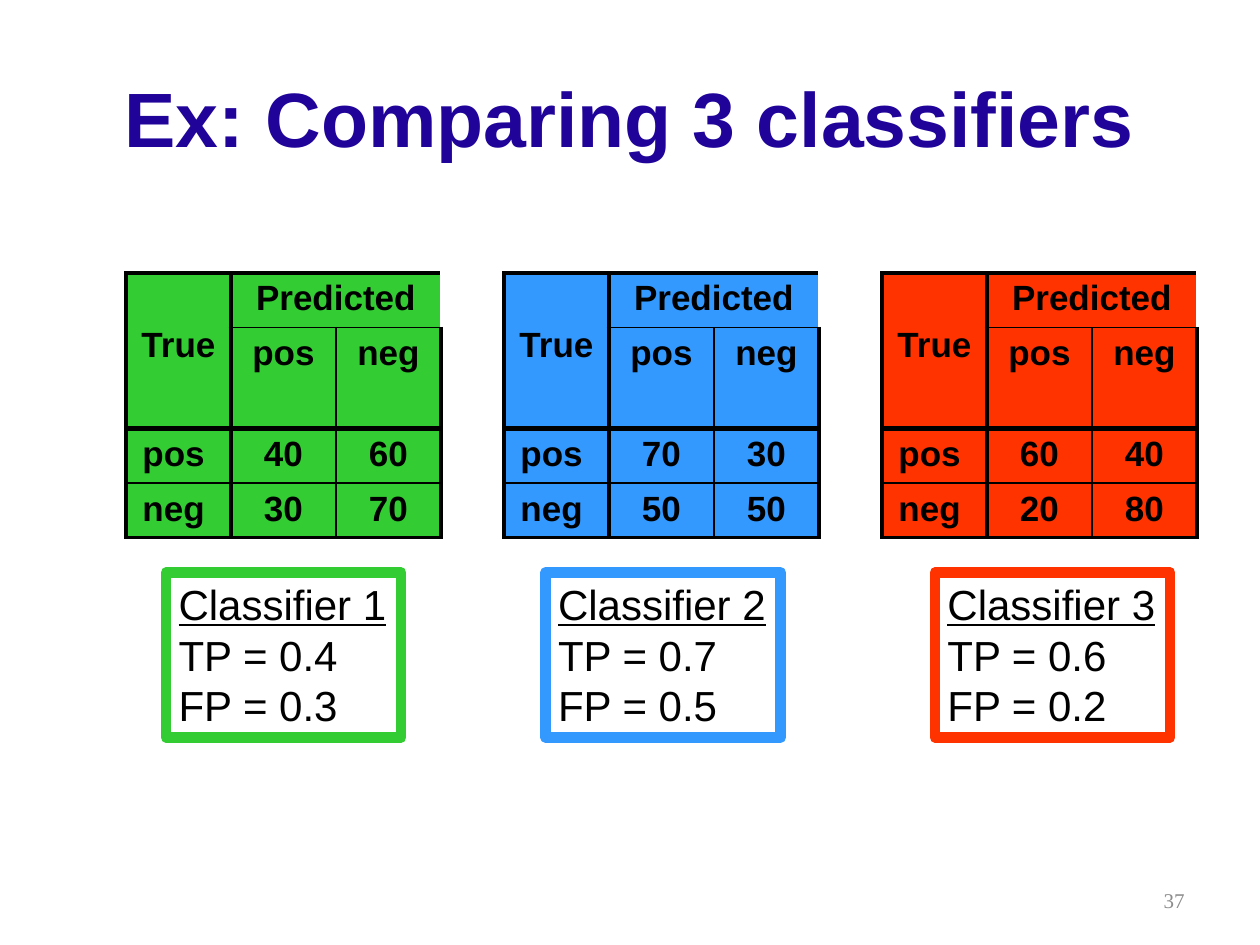
import pptx
import pptx.util
import pptx.dml.color
import pptx.enum.shapes
import pptx.enum.text
import pptx.oxml

Cm, Pt = pptx.util.Cm, pptx.util.Pt
RGB = pptx.dml.color.RGBColor
ALIGN = pptx.enum.text.PP_ALIGN
ANCHOR = pptx.enum.text.MSO_ANCHOR

BLACK = RGB(0x00, 0x00, 0x00)
INDIGO = RGB(0x20, 0x03, 0x99)
GRAY = RGB(0x8C, 0x8C, 0x8C)
GREEN = RGB(0x33, 0xCC, 0x33)
BLUE = RGB(0x33, 0x99, 0xFF)
RED = RGB(0xFF, 0x33, 0x00)

# Line widths in points at the column and row boundaries of a matrix
COL_LINES = (2.25, 3, 1, 2.25)
ROW_LINES = (2.25, 1, 3, 1, 2.25)

# Color, table left, summary left, confusion counts
CLASSIFIERS = (
    (GREEN, 2.54, 3.35, ((40, 60), (30, 70))),
    (BLUE, 10.16, 11.0, ((70, 30), (50, 50))),
    (RED, 17.78, 18.85, ((60, 40), (20, 80))),
)


def write(p, text, size=20, color=BLACK, font="Arial", bold=False,
          underline=False, align=ALIGN.LEFT, before=0):
    """Add a formatted run to a paragraph."""
    p.alignment = align
    p.space_before = Pt(before)
    r = p.add_run()
    r.text = text
    r.font.size = Pt(size)
    r.font.name = font
    r.font.bold = bold
    r.font.underline = underline
    r.font.color.rgb = color


def add_label(s, box, text, **style):
    """Text box with one vertically centred line."""
    tf = s.shapes.add_textbox(*map(Cm, box)).text_frame
    tf.word_wrap = True
    tf.vertical_anchor = ANCHOR.MIDDLE
    write(tf.paragraphs[0], text, **style)


def set_border(cell, side, width):
    """Draw one side (L, R, T, B) of a cell as a solid black line."""
    cell._tc.get_or_add_tcPr().append(pptx.oxml.parse_xml(
        f'<a:ln{side} xmlns:a="http://schemas.openxmlformats.org/drawingml/2006/main"'
        f' w="{int(Pt(width))}"><a:solidFill><a:srgbClr val="{BLACK}"/></a:solidFill>'
        f'</a:ln{side}>'))


def add_matrix(s, box, counts, color):
    """Confusion matrix with a two-level header."""
    table = s.shapes.add_table(4, 3, *map(Cm, box)).table
    rows = (("True", "Predicted", ""), ("", "pos", "neg"),
            ("pos ", *counts[0]), ("neg ", *counts[1]))
    table.cell(0, 0).merge(table.cell(1, 0))
    table.cell(0, 1).merge(table.cell(0, 2))
    for i, row in enumerate(rows):
        for j, value in enumerate(row):
            cell = table.cell(i, j)
            edges = {"L": COL_LINES[j], "R": COL_LINES[j + 1],
                     "T": ROW_LINES[i], "B": ROW_LINES[i + 1]}
            # No line inside a merged cell
            hidden = {(0, 0): "B", (1, 0): "T", (0, 1): "R", (0, 2): "L"}.get((i, j))
            for side, width in edges.items():
                if side != hidden:
                    set_border(cell, side, width)
            cell.fill.solid()
            cell.fill.fore_color.rgb = color
            if not cell.is_spanned:
                write(cell.text_frame.paragraphs[0], str(value), bold=True,
                      align=ALIGN.CENTER, before=4)
    # "True" sits about halfway down the two header rows
    table.cell(0, 0).margin_top = Cm(1.06)


def add_summary(s, box, number, counts, color):
    """Framed box with the true and false positive rates."""
    sp = s.shapes.add_shape(pptx.enum.shapes.MSO_SHAPE.RECTANGLE, *map(Cm, box))
    sp.shadow.inherit = False
    sp.fill.background()
    sp.line.color.rgb = color
    sp.line.width = Pt(6)
    tf = sp.text_frame
    tf.word_wrap = False
    tf.auto_size = pptx.enum.text.MSO_AUTO_SIZE.SHAPE_TO_FIT_TEXT
    tf.vertical_anchor = ANCHOR.TOP
    write(tf.paragraphs[0], f"Classifier {number}", size=24, underline=True)
    for name, (pos, neg) in zip(("TP", "FP"), counts):
        write(tf.add_paragraph(), f"{name} = {pos / (pos + neg):.1f}", size=24)


def main():
    prs = pptx.Presentation()
    prs.slide_width, prs.slide_height = Cm(25.4), Cm(19.05)
    s = prs.slides.add_slide(prs.slide_layouts[6])

    # Title
    add_label(s, (1.27, 0.76, 22.86, 3.18), "Ex: Comparing 3 classifiers",
              size=44, color=INDIGO, bold=True, align=ALIGN.CENTER)

    # Classifiers
    for number, (color, left, summary_left, counts) in enumerate(CLASSIFIERS, 1):
        add_matrix(s, (left, 5.5, 6.35, 4.4), counts, color)
        add_summary(s, (summary_left, 11.54, 4.74, 3.33), number, counts, color)

    # Slide number
    add_label(s, (18.2, 17.65, 5.93, 1.01), "37", size=12, color=GRAY,
              font="Times New Roman", align=ALIGN.RIGHT)

    prs.save("out.pptx")


if __name__ == "__main__":
    main()
